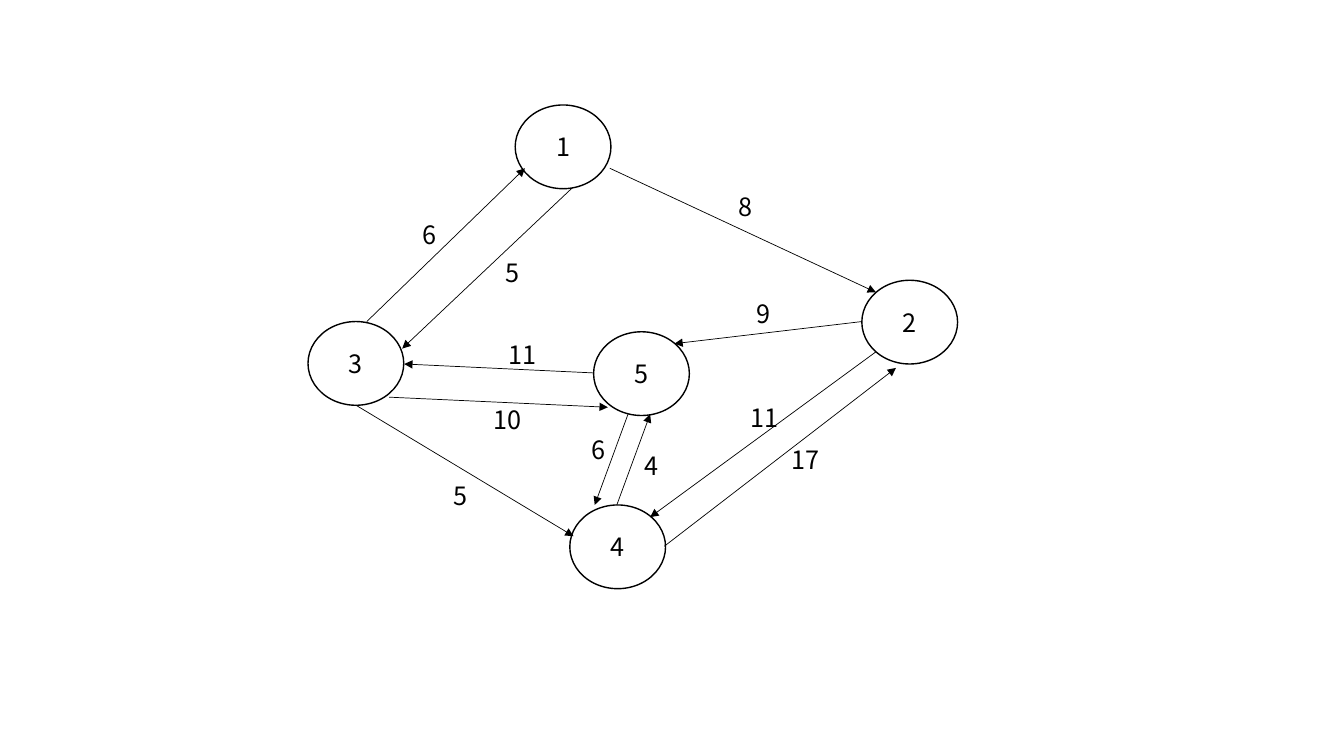
from dataclasses import dataclass
from lxml.etree import SubElement
from pptx import Presentation
from pptx.dml.color import RGBColor as Rgb
from pptx.enum.shapes import MSO_CONNECTOR as Wire, MSO_SHAPE as Form
from pptx.enum.text import MSO_ANCHOR as Anchor, MSO_AUTO_SIZE as Fit, PP_ALIGN as Align
from pptx.oxml.ns import qn
from pptx.util import Pt


@dataclass(frozen=True)
class Theme:
    ink: Rgb = Rgb(0, 0, 0)
    paper: Rgb = Rgb(255, 255, 255)
    font: str = "Noto Sans CJK KR"
    size: float = 18
    rim: float = 1
    edge: float = 0.5


THEME = Theme()
NODE = (68.4, 59.8)
NODES = {
    "1": (148, 0),
    "3": (0, 154.7),
    "5": (204, 162),
    "2": (395.6, 125.2),
    "4": (187, 285.7),
}
EDGES = [
    ("6", (42, 154.7), (155, 45.2), (74.5, 78.4)),
    ("5", (189, 59), (67.3, 174), (134.2, 105)),
    ("8", (215.6, 45.2), (405.7, 133.8), (300.6, 58.2)),
    ("9", (395.6, 154.7), (261.7, 170.5), (313.5, 134.5)),
    ("11", (204, 191.4), (68.7, 185), (136.4, 164)),
    ("10", (58, 208.7), (214.2, 215.9), (125.6, 210.1)),
    ("5", (34.2, 214.4), (189.7, 308), (96.8, 264.8)),
    ("11", (405.7, 176.3), (244.4, 294.4), (309.2, 208.7)),
    ("17", (254.5, 315.2), (420, 187.8), (338, 238.9)),
    ("6", (228.6, 220.9), (204.8, 285.7), (195.4, 231.7)),
    ("4", (220.6, 285.7), (244.4, 220.9), (233.6, 243.2)),
]


def write(frame, text, align):
    frame.text = text
    line = frame.paragraphs[0]
    line.alignment = align
    font = line.runs[0].font
    font.name, font.size = THEME.font, Pt(THEME.size)
    font.color.rgb = THEME.ink


def stroke(line, width):
    line.color.rgb = THEME.ink
    line.width = Pt(width)


def add_node(slide, name, spot):
    node = slide.shapes.add_shape(Form.OVAL, *map(Pt, spot + NODE))
    node.shadow.inherit = False
    node.fill.solid()
    node.fill.fore_color.rgb = THEME.paper
    stroke(node.line, THEME.rim)
    node.text_frame.vertical_anchor = Anchor.MIDDLE
    write(node.text_frame, name, Align.CENTER)


def add_edge(slide, start, end):
    edge = slide.shapes.add_connector(Wire.STRAIGHT, *map(Pt, start + end))
    stroke(edge.line, THEME.edge)
    SubElement(edge.line._get_or_add_ln(), qn("a:tailEnd"), type="triangle")
    SubElement(edge._element.spPr, qn("a:effectLst"))


def add_cost(slide, text, spot):
    wide = 14.4 + 10.1 * len(text)
    cost = slide.shapes.add_textbox(*map(Pt, spot + (wide, 29)))
    frame = cost.text_frame
    frame.word_wrap = False
    frame.auto_size = Fit.SHAPE_TO_FIT_TEXT
    write(frame, text, Align.LEFT)


def add_graph(slide, left, top):
    def place(spot):
        return left + spot[0], top + spot[1]

    for name, spot in NODES.items():
        add_node(slide, name, place(spot))
    for cost, start, end, spot in EDGES:
        add_edge(slide, place(start), place(end))
    for cost, start, end, spot in EDGES:
        add_cost(slide, cost, place(spot))


deck = Presentation()
deck.slide_width, deck.slide_height = Pt(960), Pt(540)
page = deck.slides.add_slide(deck.slide_layouts[6])
add_graph(page, 220, 75)
deck.save("out.pptx")
